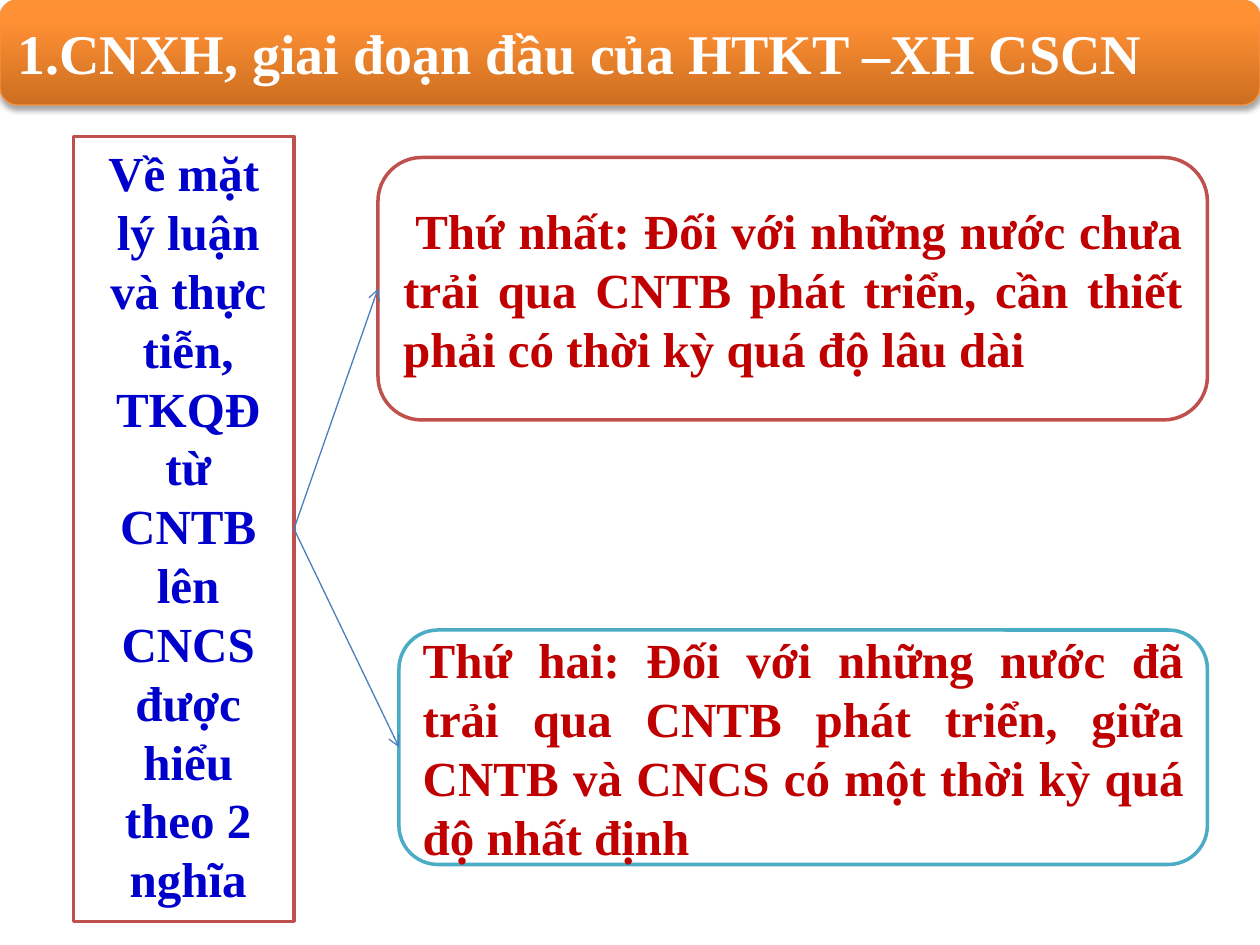
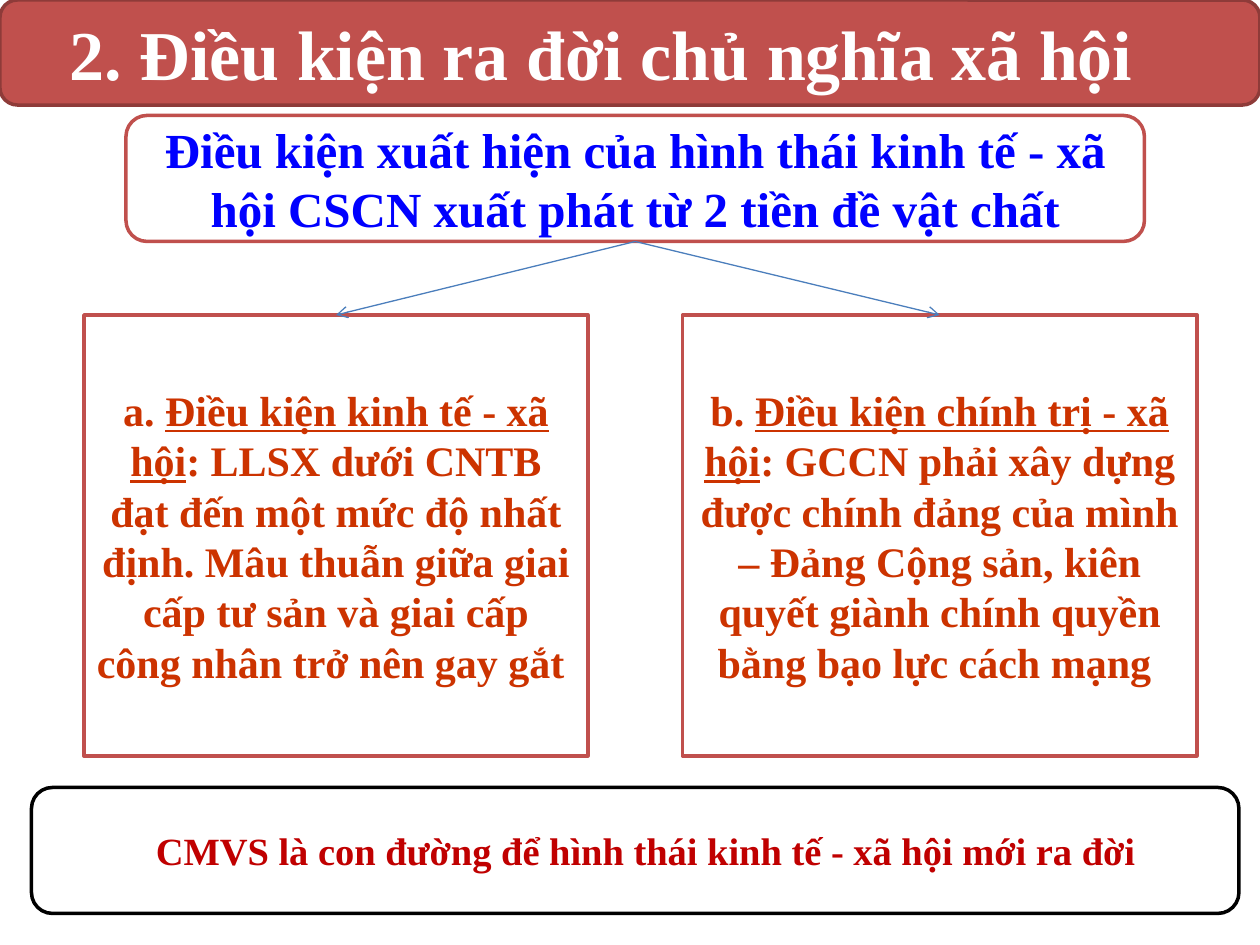
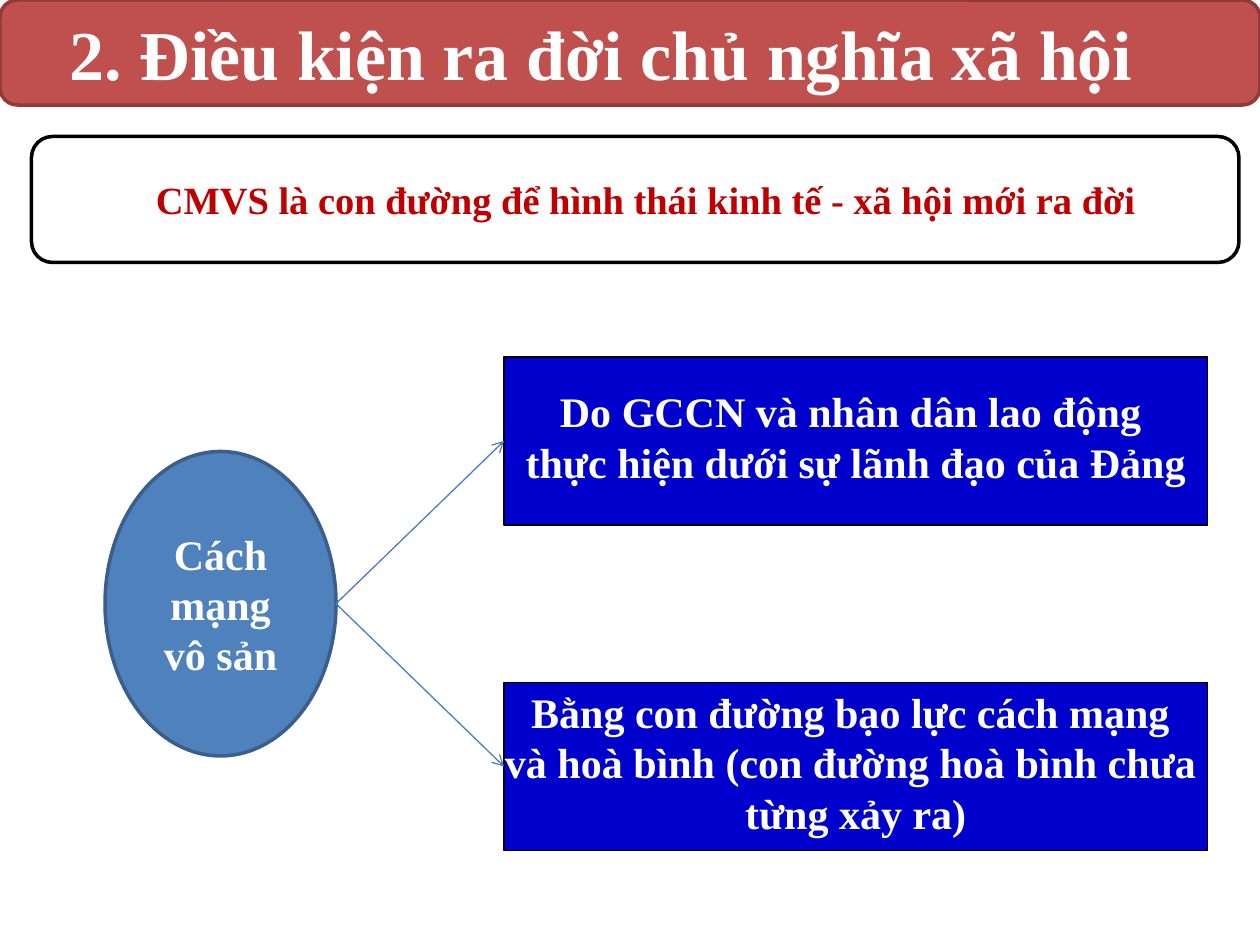
from lxml import etree
from pptx import Presentation
from pptx.dml.color import RGBColor
from pptx.enum import shapes, text
from pptx.oxml import parse_xml
from pptx.oxml.ns import nsdecls, qn
from pptx.util import Pt

COLORS = {
    "white": "FFFFFF", "black": "000000", "brick": "C0504D",
    "brick_edge": "8E3B39", "teal": "4BACC6", "steel": "4F81BD",
    "steel_edge": "3A5F8C", "arrow": "4B7EBC", "orange_dark": "CC6E20",
    "orange": "FF9034", "orange_edge": "F69240", "navy": "0000CC",
    "blue": "0000FF", "crimson": "C00000", "rust": "CC3300",
}
FONT = "Times New Roman"
BAND = (0, 0, 720, 60)
BODY = (0, 60, 720, 480)
TOP, LEFT, BOTTOM, RIGHT = range(4)
RECT = shapes.MSO_SHAPE.RECTANGLE
ROUND = shapes.MSO_SHAPE.ROUNDED_RECTANGLE
OVAL = shapes.MSO_SHAPE.OVAL
CENTER = text.PP_ALIGN.CENTER
JUSTIFY = text.PP_ALIGN.JUSTIFY
FLAT = text.PP_ALIGN.LEFT
CONDITION_TITLE = "2. Điều kiện ra đời chủ nghĩa xã hội"


def rgb(color):
    return RGBColor.from_string(COLORS[color])


def apply(target, values):
    for name, value in values.items():
        setattr(target, name, value)


def inside(box, left, top, width, height):
    return box[0] + left, box[1] + top, width, height


def write(frame, paragraphs, size, color, align, margin=0, indent=0, spacing=None):
    for number, runs in enumerate(paragraphs):
        paragraph = frame.paragraphs[0] if number == 0 else frame.add_paragraph()
        apply(paragraph, {"alignment": align, **(spacing or {})})
        if margin or indent:
            properties = paragraph._p.get_or_add_pPr()
            properties.set("marL", str(Pt(margin)))
            properties.set("indent", str(Pt(indent)))
        for part in [runs] if isinstance(runs, str) else runs:
            words, underlined = part if isinstance(part, tuple) else (part, False)
            run = paragraph.add_run()
            run.text = words
            apply(run.font, {"name": FONT, "size": Pt(size), "bold": True,
                             "underline": underlined})
            run.font.color.rgb = rgb(color)


def panel(slide, box, form, edge, fill="white", edge_width=2):
    shape = slide.shapes.add_shape(form, *map(Pt, box))
    shape.shadow.inherit = False
    shape.fill.solid()
    shape.fill.fore_color.rgb = rgb(fill)
    shape.line.color.rgb = rgb(edge)
    shape.line.width = Pt(edge_width)
    apply(shape.text_frame, {"word_wrap": True,
                             "vertical_anchor": text.MSO_ANCHOR.MIDDLE})
    return shape


def arrow(slide, start, start_side, end, end_side):
    def side_point(shape, side):
        across = {LEFT: 0, RIGHT: shape.width}.get(side, shape.width // 2)
        down = {TOP: 0, BOTTOM: shape.height}.get(side, shape.height // 2)
        return shape.left + across, shape.top + down

    line = slide.shapes.add_connector(
        shapes.MSO_CONNECTOR.STRAIGHT,
        *side_point(start, start_side), *side_point(end, end_side))
    if start.auto_shape_type != OVAL:
        line.begin_connect(start, start_side)
    line.end_connect(end, end_side)
    line.line.color.rgb = rgb("arrow")
    line.line.width = Pt(0.75)
    etree.SubElement(line.line._get_or_add_ln(), qn("a:tailEnd"), type="arrow")
    etree.SubElement(line._element.spPr, qn("a:effectLst"))


def title_band(slide, box, words, size, inset, edge, fill, edge_width=2):
    title = slide.shapes.title
    band = panel(slide, box, ROUND, edge, fill, edge_width)
    title._element.addprevious(band._element)
    apply(title, dict(zip(("left", "top", "width", "height"), map(Pt, box))))
    apply(title.text_frame, {
        "word_wrap": True, "auto_size": text.MSO_AUTO_SIZE.NONE,
        "vertical_anchor": text.MSO_ANCHOR.MIDDLE, "margin_left": Pt(inset)})
    write(title.text_frame, [words], size, "white", FLAT)
    return band


def glossy(band):
    band.fill.gradient()
    band.fill.gradient_angle = 90
    stops = band.fill.gradient_stops
    for stop, color, position in zip(stops, ("orange_dark", "orange"), (0, 0.8)):
        stop.color.rgb = rgb(color)
        stop.position = position
    band._element.spPr.find(qn("a:effectLst")).append(parse_xml(
        f'<a:outerShdw {nsdecls("a")} blurRad="{Pt(3.1)}" dist="{Pt(1.8)}" '
        f'dir="5400000" rotWithShape="0"><a:srgbClr val="{COLORS["black"]}">'
        '<a:alpha val="35000"/></a:srgbClr></a:outerShdw>'))


def condition_band(slide):
    title_band(slide, BAND, CONDITION_TITLE, 40, 40, "brick_edge", "brick")


def revolution_path(slide, box):
    path_panel = panel(slide, box, ROUND, "black")
    write(path_panel.text_frame,
          ["CMVS là con đường để hình thái kinh tế - xã hội mới ra đời"],
          22, "crimson", FLAT, margin=60.5)


def two_meanings(slide, box):
    theory = panel(slide, inside(box, 42, 18, 126, 448.5), RECT, "brick")
    apply(theory.text_frame, {"vertical_anchor": text.MSO_ANCHOR.TOP,
                              "auto_size": text.MSO_AUTO_SIZE.SHAPE_TO_FIT_TEXT})
    write(theory.text_frame,
          ["Về mặt lý luận và thực tiễn, TKQĐ từ CNTB lên CNCS được hiểu theo 2 nghĩa"],
          28, "navy", CENTER, margin=5, indent=-5)
    meanings = (
        ((216, 30, 474, 150), "brick", 7,
         "Thứ nhất: Đối với những nước chưa trải qua CNTB phát triển, "
         "cần thiết phải có thời kỳ quá độ lâu dài"),
        ((228, 300, 462, 134), "teal", 0,
         "Thứ hai: Đối với những nước đã trải qua CNTB phát triển, "
         "giữa CNTB và CNCS có một thời kỳ quá độ nhất định"),
    )
    for place, edge, indent, words in meanings:
        meaning = panel(slide, inside(box, *place), ROUND, edge)
        write(meaning.text_frame, [words], 28, "crimson", JUSTIFY, indent=indent)
        arrow(slide, theory, RIGHT, meaning, LEFT)


def two_conditions(slide, box):
    premise = panel(slide, inside(box, 72, 6, 582, 72), ROUND, "brick")
    write(premise.text_frame,
          ["Điều kiện xuất hiện của hình thái kinh tế - xã hội CSCN "
           "xuất phát từ 2 tiền đề vật chất"], 28, "blue", CENTER)
    conditions = (
        (48, 288, "a. ", "Điều kiện kinh tế - xã hội",
         ": LLSX dưới CNTB đạt đến một mức độ nhất định. Mâu thuẫn giữa "
         "giai cấp tư sản và giai cấp công nhân trở nên gay gắt "),
        (390, 294, "b. ", "Điều kiện chính trị - xã hội",
         ": GCCN phải xây dựng được chính đảng của mình – Đảng Cộng sản, "
         "kiên quyết giành chính quyền bằng bạo lực cách mạng "),
    )
    for left, width, letter, name, detail in conditions:
        condition = panel(slide, inside(box, left, 120, width, 252), RECT, "brick")
        write(condition.text_frame, [[letter, (name, True), detail]],
              24, "rust", CENTER)
        arrow(slide, premise, BOTTOM, condition, TOP)
    revolution_path(slide, inside(box, 18, 390, 690, 72))


def revolution(slide, box):
    revolution_path(slide, inside(box, 18, 18, 690, 72))
    hub = panel(slide, inside(box, 60, 198, 132, 174), OVAL, "steel_edge", "steel")
    write(hub.text_frame, ["Cách mạng vô sản"], 24, "white", CENTER)
    features = (
        ["Do GCCN và nhân dân lao động ",
         "thực hiện dưới sự lãnh đạo của Đảng"],
        ["Bằng con đường bạo lực cách mạng ",
         "và hoà bình (con đường hoà bình chưa ",
         "từng xảy ra)"],
    )
    for number, lines in enumerate(features):
        feature = panel(slide, inside(box, 288, 144 + 186 * number, 402, 96),
                        RECT, "black", "navy", 0.75)
        feature.text_frame.word_wrap = False
        write(feature.text_frame, lines, 24, "white", CENTER,
              spacing={"line_spacing": 0.8, "space_before": Pt(5.8)})
        arrow(slide, hub, RIGHT, feature, LEFT)


def main():
    deck = Presentation()
    deck.slide_width, deck.slide_height = Pt(720), Pt(540)
    for build in (two_meanings, two_conditions, revolution):
        slide = deck.slides.add_slide(deck.slide_layouts[5])
        if build is two_meanings:
            glossy(title_band(slide, BAND, "1.CNXH, giai đoạn đầu của HTKT –XH CSCN",
                              32, 10, "orange_edge", "orange", 0.75))
        else:
            condition_band(slide)
        build(slide, BODY)
    deck.save("out.pptx")


if __name__ == "__main__":
    main()
